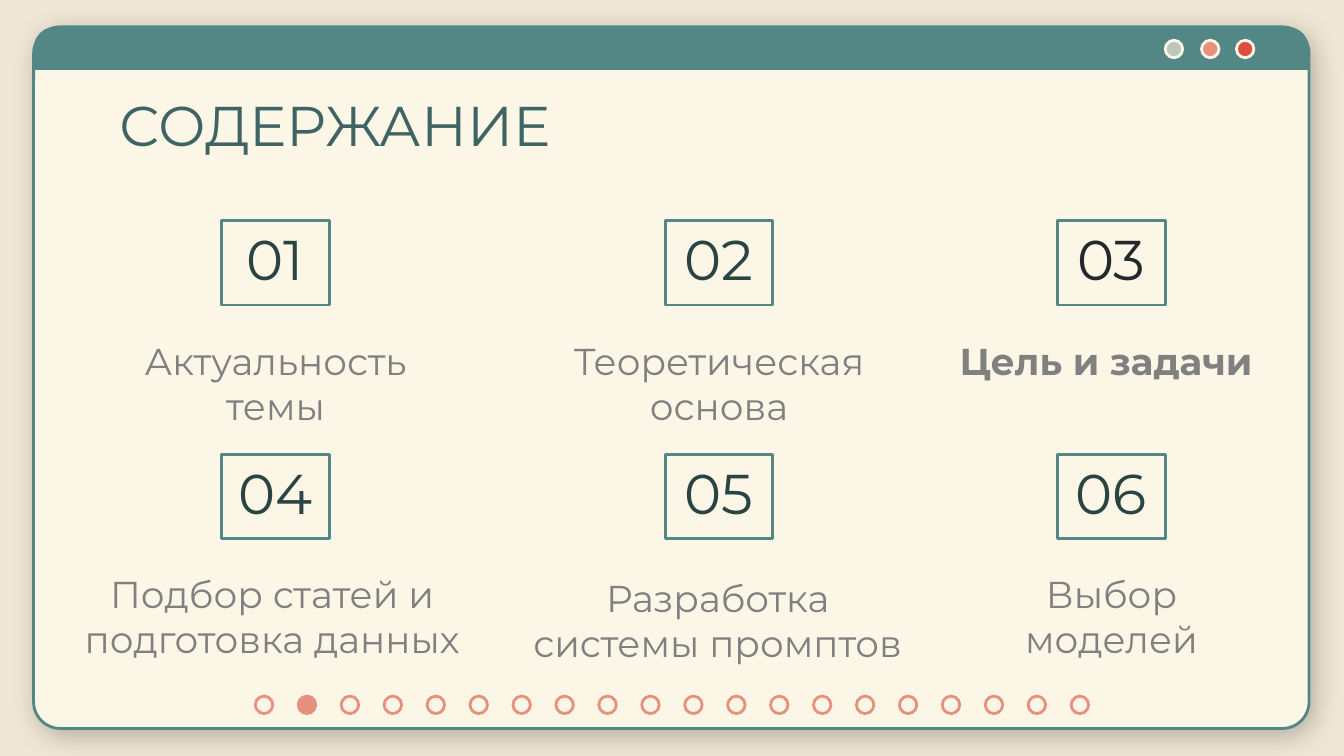
from lxml.etree import SubElement
from pptx import Presentation
from pptx.dml.color import RGBColor
from pptx.enum.shapes import MSO_SHAPE as Preset
from pptx.enum.text import MSO_ANCHOR as Anchor, PP_ALIGN as Align
from pptx.oxml.ns import qn
from pptx.util import Inches, Pt

COLORS = {
    "background": "F1E7D6", "paper": "FCF6E7", "teal": "538786",
    "title": "3E6564", "number": "2A4443", "ink": "24282A",
    "topic": "808080", "sage": "BBC8BA", "coral": "E6907D", "red": "DD4F3D",
}
FONT = "Montserrat"
SLIDE_WIDTH = 10
DOT_SIZE = 0.13
PAGE_COUNT, CURRENT_PAGE = 20, 2
FIRST_PAGE_DOT, LAST_PAGE_DOT = 1.9, 7.97

NUMBER_LEFTS = (1.65, 4.95, 7.87)
NUMBER_TOPS = (1.64, 3.38)
# Each topic: text, left, top and width of its box, format that differs
TOPICS = [
    ("Актуальность темы", 0.79, 2.42, 2.52, {}),
    ("Теоретическая основа", 4.09, 2.42, 2.52, {}),
    ("Цель и задачи ", 7.01, 2.42, 2.52, {"bold": True}),
    ("Подбор статей и подготовка данных", 0.37, 4.15, 3.31, {}),
    ("Разработка системы промптов", 3.77, 4.18, 3.14, {}),
    ("Выбор моделей", 7.01, 4.15, 2.52, {}),
]


def rgb(name):
    return RGBColor.from_string(COLORS[name])


def add_preset(shapes, preset, box, fill=None, line=None):
    shape = shapes.add_shape(preset, *map(Inches, box))
    shape.shadow.inherit = False
    if fill:
        shape.fill.solid()
        shape.fill.fore_color.rgb = rgb(fill)
    else:
        shape.fill.background()
    if line:
        shape.line.color.rgb = rgb(line)
        shape.line.width = Pt(1.5)
    else:
        shape.line.fill.background()
    return shape


def add_dot(shapes, left, top, fill, line):
    add_preset(shapes, Preset.OVAL, (left, top, DOT_SIZE, DOT_SIZE), fill, line)


def write_text(shape, text, size, color, align=Align.CENTER, anchor=Anchor.TOP, **font_format):
    frame = shape.text_frame
    frame.word_wrap = True
    frame.vertical_anchor = anchor
    for side in ("left", "top", "right", "bottom"):
        setattr(frame, f"margin_{side}", Inches(0.1))
    paragraph = frame.paragraphs[0]
    paragraph.alignment = align
    run = paragraph.add_run()
    run.text = text
    run.font.color.rgb = rgb(color)
    for name, value in {"name": FONT, "size": Pt(size), **font_format}.items():
        setattr(run.font, name, value)


def add_soft_shadow(shape):
    effects = shape._element.spPr.find(qn("a:effectLst"))
    shadow = SubElement(effects, qn("a:outerShdw"), blurRad=str(Pt(14.6)),
                        dist=str(Pt(3.8)), dir=str(50 * 60000),
                        algn="bl", rotWithShape="0")
    color = SubElement(shadow, qn("a:srgbClr"), val=COLORS["ink"])
    SubElement(color, qn("a:alpha"), val="30000")


def add_window(slide):
    shapes = slide.shapes.add_group_shape().shapes
    panel = add_preset(shapes, Preset.ROUNDED_RECTANGLE, (0.25, 0.2, 9.49, 5.22), "paper", "teal")
    panel.adjustments[0] = 0.038
    add_soft_shadow(panel)
    bar = add_preset(shapes, Preset.ROUND_2_SAME_RECTANGLE, (0.25, 0.2, 9.49, 0.32), "teal")
    bar.adjustments[0] = 0.5
    bar.adjustments[1] = 0
    for left, color in ((8.67, "sage"), (8.94, "coral"), (9.2, "red")):
        add_dot(shapes, left, 0.3, color, "paper")


def place_title(slide, text):
    title = slide.shapes.title
    title.left, title.top, title.width, title.height = map(Inches, (0.79, 0.57, 8.43, 0.63))
    write_text(title, text, 30, "title", Align.LEFT)
    # Bring the title in front of the window
    slide.shapes._spTree.append(title._element)


def add_number(slide, number, left, top):
    shape = add_preset(slide.shapes, Preset.RECTANGLE, (left, top, 0.8, 0.63), line="teal")
    color = "ink" if number == 3 else "number"
    write_text(shape, f"{number:02}", 30, color, anchor=Anchor.BOTTOM)


def add_topic(slide, text, left, top, width, font_format):
    shape = slide.shapes.add_textbox(*map(Inches, (left, top, width, 0.56)))
    write_text(shape, text, 20, "topic", **font_format)


def add_page_dots(slide):
    shapes = slide.shapes.add_group_shape().shapes
    pitch = (LAST_PAGE_DOT - FIRST_PAGE_DOT) / (PAGE_COUNT - 1)
    for index in range(PAGE_COUNT):
        fill = "coral" if index + 1 == CURRENT_PAGE else "paper"
        add_dot(shapes, FIRST_PAGE_DOT + index * pitch, 5.18, fill, "coral")


def main():
    presentation = Presentation()
    presentation.slide_width = Inches(SLIDE_WIDTH)
    presentation.slide_height = Inches(SLIDE_WIDTH * 9 / 16)
    slide = presentation.slides.add_slide(presentation.slide_layouts[5])
    slide.background.fill.solid()
    slide.background.fill.fore_color.rgb = rgb("background")

    add_window(slide)
    place_title(slide, "СОДЕРЖАНИЕ")
    for index, topic in enumerate(TOPICS):
        row, column = divmod(index, len(NUMBER_LEFTS))
        add_number(slide, index + 1, NUMBER_LEFTS[column], NUMBER_TOPS[row])
        add_topic(slide, *topic)
    add_page_dots(slide)
    presentation.save("out.pptx")


if __name__ == "__main__":
    main()
